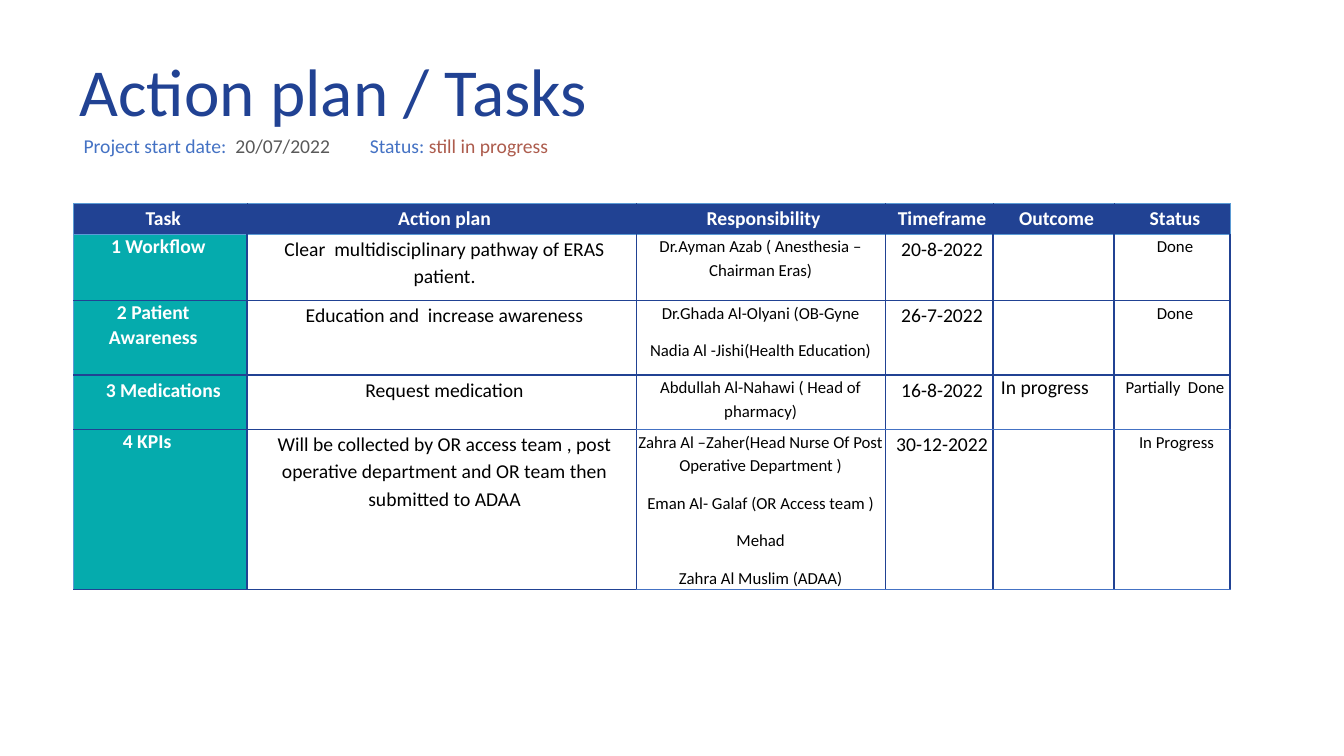
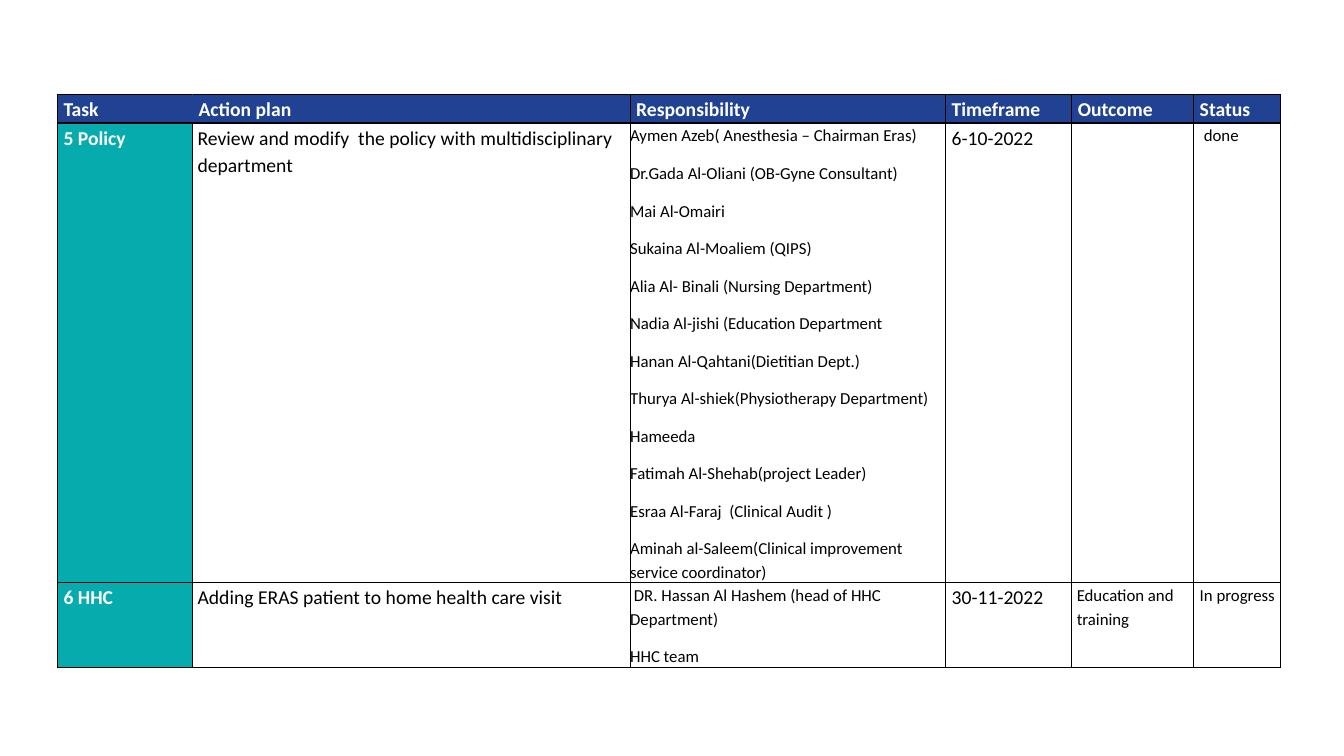
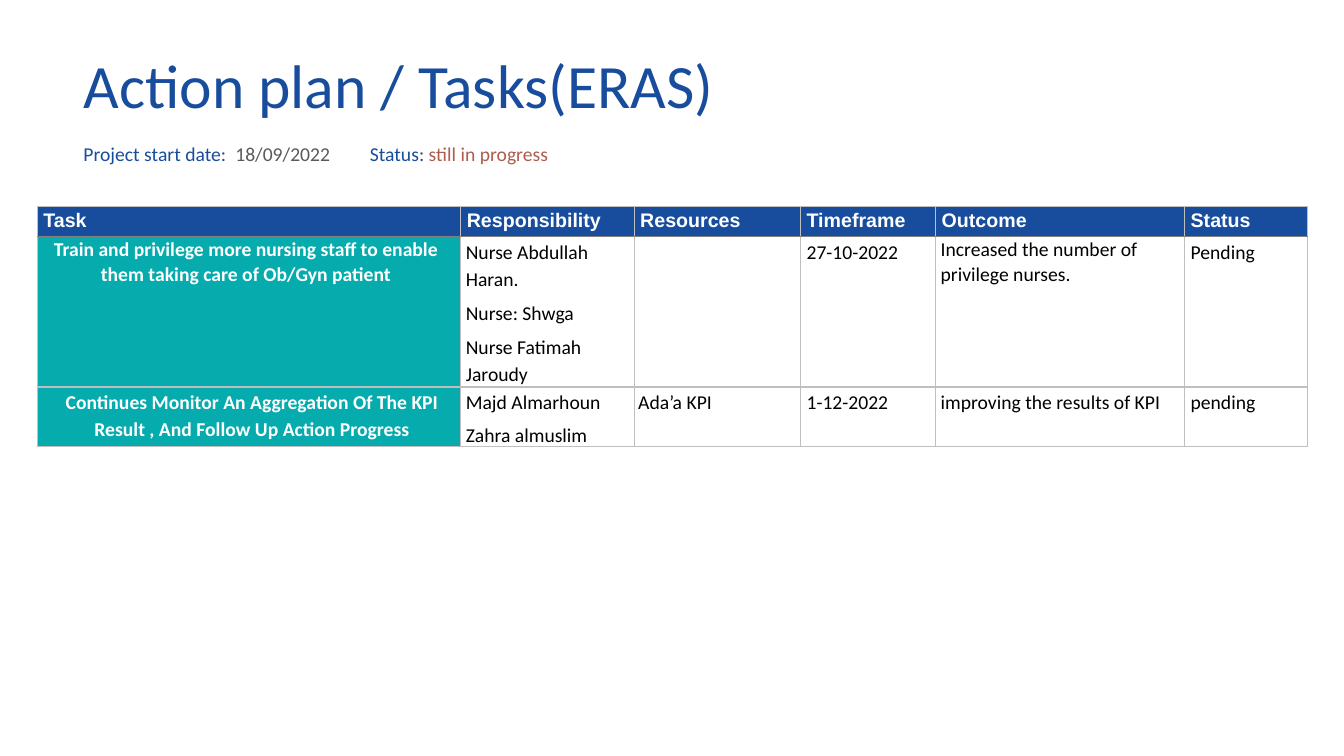
from dataclasses import dataclass, replace

from lxml import etree
from pptx import Presentation
from pptx import util as u
from pptx.dml.color import RGBColor
from pptx.enum import text
from pptx.oxml import ns

SCALE = 9144  # EMU in one px, 100 px to the inch
FONT = "Calibri"
COLOURS = {
    "navy": "214293", "royal": "184D9D", "teal": "05ABAD", "blue": "4472C4",
    "sky": "5B9BD5", "rust": "AD5C4D", "grey": "595959", "silver": "BFBFBF",
    "steel": "7F7F7F", "black": "000000", "white": "FFFFFF",
}


@dataclass
class Style:
    """Look of the text in one table cell; margins in px, spacing in points."""
    size: int = 14
    left: int = 6
    right: int = 0
    line: float = 1.15
    before: float = 4.7
    after: float = 0
    bold: bool = False
    colour: str = "black"
    centred: bool = False
    font: str = FONT


BODY = Style()
SMALL = Style(size=12)
PEOPLE = Style(size=12, left=0, before=0, after=10)
TASK = Style(bold=True, colour="white")
HEADER = replace(TASK, before=3.6)


def px(length):
    return u.Emu(length * SCALE)


def colour_of(name):
    return RGBColor.from_string(COLOURS[name])


# Text

def add_title(page, wording, box, size, colour):
    title = page.shapes.title
    title.left, title.top, title.width, title.height = map(px, box)
    frame = title.text_frame
    frame.text = wording
    frame.auto_size = text.MSO_AUTO_SIZE.NONE
    frame.vertical_anchor = text.MSO_ANCHOR.MIDDLE
    para = frame.paragraphs[0]
    para.alignment = text.PP_ALIGN.LEFT
    para.line_spacing = 0.9
    para.font.name, para.font.size = FONT, u.Pt(size)
    para.font.color.rgb = colour_of(colour)


def add_status_line(page, box, date, colour):
    frame = page.shapes.add_textbox(*map(px, box)).text_frame
    frame.word_wrap = True
    frame.vertical_anchor = text.MSO_ANCHOR.MIDDLE
    para = frame.paragraphs[0]
    tabs = etree.SubElement(para._p.get_or_add_pPr(), ns.qn("a:tabLst"))
    etree.SubElement(tabs, ns.qn("a:tab"), pos=str(px(284)), algn="l")
    para.font.name, para.font.size = FONT, u.Pt(14)
    for wording, name in (("Project start date:  ", colour), (date + "\t", "grey"),
                          ("Status: ", colour), ("still in progress", "rust")):
        span = para.add_run()
        span.text = wording
        span.font.color.rgb = colour_of(name)


# Tables

def fill_cell(cell, wording, style, fill):
    cell.margin_left = cell.margin_right = cell.margin_top = cell.margin_bottom = 0
    cell.fill.solid()
    cell.fill.fore_color.rgb = colour_of(fill)
    cell.text_frame.text = wording
    for para in cell.text_frame.paragraphs:
        para.alignment = text.PP_ALIGN.CENTER if style.centred else text.PP_ALIGN.LEFT
        para.line_spacing = style.line
        para.space_before, para.space_after = u.Pt(style.before), u.Pt(style.after)
        para.font.name, para.font.size = style.font, u.Pt(style.size)
        para.font.bold = style.bold
        para.font.color.rgb = colour_of(style.colour)
        margins = para._p.get_or_add_pPr()
        margins.set("marL", str(px(style.left)))
        margins.set("marR", str(px(style.right)))


def set_borders(cell, edges):
    """edges maps L, R, T, B to (colour name, points)."""
    properties = cell._tc.get_or_add_tcPr()
    for place, side in enumerate("LRTB"):
        name, points = edges[side]
        line = etree.Element(ns.qn("a:ln" + side), w=str(u.Pt(points)))
        fill = etree.SubElement(line, ns.qn("a:solidFill"))
        etree.SubElement(fill, ns.qn("a:srgbClr"), val=COLOURS[name])
        properties.insert(place, line)


def add_grid(page, corner, widths, heights, rows, styles, edges_of,
             header_style=None, header_fill="navy"):
    """Each entry is wording, or (wording, changes to its column's style)."""
    frame = page.shapes.add_table(len(rows), len(widths), *map(px, corner),
                                  px(sum(widths)), px(sum(heights)))
    table = frame.table
    table.first_row = table.horz_banding = False
    for column, width in zip(table.columns, widths):
        column.width = px(width)
    for r, (height, entries) in enumerate(zip(heights, rows)):
        table.rows[r].height = px(height)
        is_header = r == 0 and header_style is not None
        for c, entry in enumerate(entries):
            wording, changes = entry if isinstance(entry, tuple) else (entry, {})
            style = header_style if is_header else replace(styles[c], **changes)
            fill = header_fill if is_header else "teal" if c == 0 else "white"
            fill_cell(table.cell(r, c), wording, style, fill)
            set_borders(table.cell(r, c), edges_of(r, c))


# Border rules, one for each table

def plan_edges(r, c):
    thin, navy, blue = ("sky", 0.5), ("navy", 1), ("blue", 1)
    if r == 0:
        inner = ("navy", 0.5)
        return {"L": inner if c else thin, "R": thin if c == 5 else inner,
                "T": thin, "B": thin}
    return {"L": navy if c else thin, "R": navy,
            "T": thin if r == 1 else blue if r == 4 and c > 1 else navy,
            "B": blue if r > 2 and c > 1 else navy}


def policy_edges(r, c):
    edges = dict.fromkeys("LRTB", ("black", 1))
    if r == 0 and c < 2:
        edges["R" if c == 0 else "L"] = ("navy", 1)
    return edges


def training_edges(r, c):
    edges = dict.fromkeys("LRTB", ("silver", 1))
    edges["T" if r else "B"] = ("steel", 1)
    return edges


def monitor_edges(r, c):
    return dict.fromkeys("LRTB", ("silver", 1))


# Pages

def build_plan_page(deck):
    page = deck.slides.add_slide(deck.slide_layouts[5])
    add_title(page, "Action plan / Tasks", (69, 37, 965, 114), 48, "navy")
    add_status_line(page, (73, 125, 569, 40), "20/07/2022", "blue")
    rows = [
        ["Task", "Action plan", "Responsibility", "Timeframe", "Outcome", "Status"],
        [("1 Workflow", {"right": 10}),
         "Clear  multidisciplinary pathway of ERAS patient.",
         "Dr.Ayman Azab ( Anesthesia – Chairman Eras)", "20-8-2022", "", "Done"],
        [("2 Patient Awareness", {"left": 30, "right": 44}),
         "Education and  increase awareness",
         "Dr.Ghada Al-Olyani (OB-Gyne\nNadia Al -Jishi(Health Education)",
         "26-7-2022", "", "Done"],
        [("3 Medications", {"line": 1.15}), "Request medication",
         "Abdullah Al-Nahawi ( Head of pharmacy)", "16-8-2022",
         "In progress", "Partially  Done"],
        [("4 KPIs", {"right": 32}),
         "Will be collected by OR access team , post operative department "
         "and OR team then submitted to ADAA",
         "Zahra Al –Zaher(Head Nurse Of Post Operative Department )\n"
         "Eman Al- Galaf (OR Access team )\nMehad\nZahra Al Muslim (ADAA)",
         "30-12-2022", "", ("In Progress", {"left": 9})],
    ]
    outcome = replace(BODY, left=5, right=22, line=1.04)
    styles = [replace(style, centred=True) for style in
              (replace(TASK, line=1.04), BODY, PEOPLE, BODY, outcome, SMALL)]
    add_grid(page, (73, 202), [172, 386, 247, 107, 120, 115], [30, 66, 74, 54, 159],
             rows, styles, plan_edges, replace(HEADER, centred=True))


def build_policy_page(deck):
    page = deck.slides.add_slide(deck.slide_layouts[6])
    team = [
        "Aymen Azeb( Anesthesia – Chairman Eras)",
        "Dr.Gada Al-Oliani (OB-Gyne Consultant)",
        "Mai Al-Omairi",
        "Sukaina Al-Moaliem (QIPS)",
        "Alia Al- Binali (Nursing Department)",
        "Nadia Al-jishi (Education Department",
        "Hanan Al-Qahtani(Dietitian Dept.)",
        "Thurya Al-shiek(Physiotherapy Department)",
        "Hameeda",
        "Fatimah Al-Shehab(project Leader)",
        "Esraa Al-Faraj  (Clinical Audit )",
        "Aminah al-Saleem(Clinical improvement service coordinator)",
    ]
    rows = [
        ["Task", "Action plan", "Responsibility", "Timeframe", "Outcome", "Status"],
        ["5 Policy", "Review and modify  the policy with multidisciplinary department",
         "\n".join(team), "6-10-2022", "", ("done", {"left": 10})],
        ["6 HHC", "Adding ERAS patient to home health care visit",
         " DR. Hassan Al Hashem (head of HHC Department)\nHHC team",
         "30-11-2022", "Education and training", "In progress"],
    ]
    styles = [TASK, replace(BODY, left=5), PEOPLE, BODY, replace(SMALL, left=5), SMALL]
    add_grid(page, (57, 94), [134, 434, 313, 125, 121, 86], [28, 456, 84],
             rows, styles, policy_edges, HEADER)


def build_training_page(deck):
    page = deck.slides.add_slide(deck.slide_layouts[5])
    add_title(page, "Action plan / Tasks(ERAS)", (73, 31, 965, 114), 44, "royal")
    add_status_line(page, (73, 132, 594, 40), "18/09/2022", "royal")
    widths = [420, 172, 165, 134, 247, 122]
    near = replace(BODY, left=5)
    styles = [replace(TASK, centred=True), near, replace(BODY, left=4), BODY, near, BODY]
    training = [
        ["Task", "Responsibility", "Resources", "Timeframe", "Outcome", "Status"],
        [("Train and privilege more nursing staff to enable them taking care "
          "of Ob/Gyn patient", {"line": 1.04, "right": 12}),
         "Nurse Abdullah Haran.\nNurse: Shwga\nNurse Fatimah Jaroudy", "",
         "27-10-2022",
         ("Increased the number of privilege nurses.", {"line": 1.04}), "Pending"],
    ]
    monitor = [
        ["Continues Monitor An Aggregation Of The KPI Result , "
         "And Follow Up Action Progress",
         ("Majd Almarhoun\nZahra almuslim", {"before": 3.8}), "Ada’a KPI",
         "1-12-2022", "improving the results of KPI", "pending"],
    ]
    add_grid(page, (37, 205), widths, [30, 149], training, styles, training_edges,
             replace(HEADER, font="Arial"), "royal")
    add_grid(page, (37, 384), widths, [59], monitor, styles, monitor_edges)


def main():
    deck = Presentation()
    deck.slide_width, deck.slide_height = px(1333), px(750)
    build_plan_page(deck)
    build_policy_page(deck)
    build_training_page(deck)
    deck.save("out.pptx")


if __name__ == "__main__":
    main()
